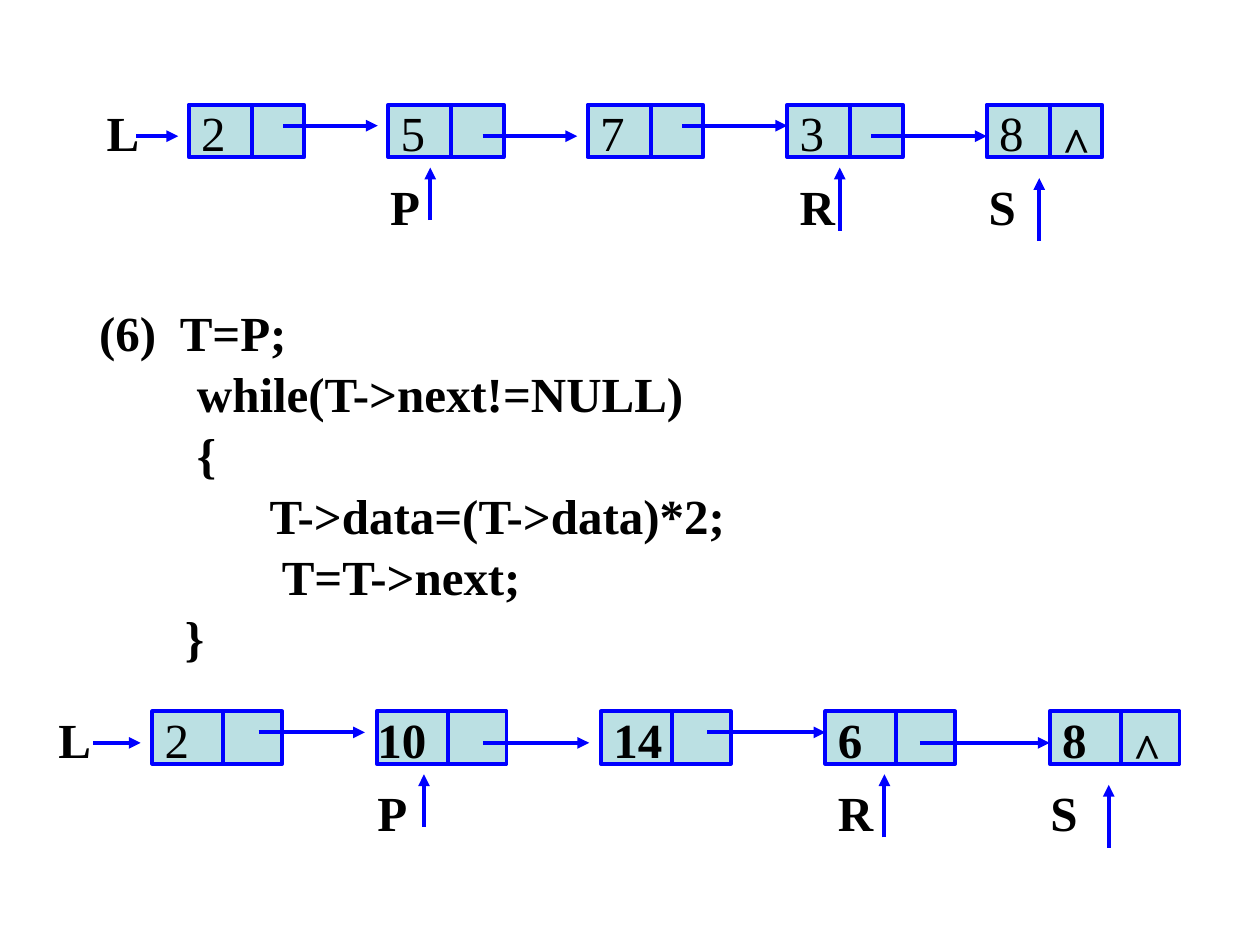
from lxml import etree
from pptx import Presentation
from pptx.dml.color import RGBColor
from pptx.enum.shapes import MSO_CONNECTOR, MSO_SHAPE
from pptx.enum.text import MSO_ANCHOR
from pptx.oxml.ns import qn
from pptx.util import Cm, Pt

STRAIGHT = MSO_CONNECTOR.STRAIGHT
RECTANGLE = MSO_SHAPE.RECTANGLE
TOP = MSO_ANCHOR.TOP

BLUE = "0000FF"
PALE_TEAL = "BBE0E3"
BLACK = "000000"
BLANK_LAYOUT = 6

FONT = {"name": "Times New Roman", "size": Pt(28)}
LINE_WIDTH = Pt(2.25)
LINE_SPACING = 1.04

COLUMNS, ROWS = 96, 14
FIRST_NODE, NODE_PITCH = 9, 19
NODE_WIDTH, NODE_HEIGHT, DATA_WIDTH = 11, 5, 6
TEXT_ROWS = 6.84
LINKS = [(18, 27, 3), (37, 46, 4), (56, 66, 3), (74, 85, 4)]
POINTERS = [("P", 27, 14, 32, 12, 7), ("R", 66, 10, 71, 13, 7), ("S", 84, 9, 90, 14, 8)]

BEFORE = [("2", 0, 6, False), ("5", 0, 6, False), ("7", 0, 6, False),
          ("3", 0, 6, False), ("8", 0, 6, False)]
AFTER = [("2", 0, 6, False), ("10", -1, 8, True), ("14", 0, 12, True),
         ("6", 0, 6, True), ("8", 0, 10, True)]

CODE = [
    "(6)  T=P;",
    "        while(T->next!=NULL)",
    "        {",
    "              T->data=(T->data)*2;",
    "               T=T->next;",
    "       }",
]


def color(value):
    return RGBColor.from_string(value)


def apply(target, values):
    for name, value in values.items():
        setattr(target, name, value)


def add_text(shapes, box, lines, bold=True, hanging=0):
    frame = shapes.add_textbox(*box).text_frame
    apply(frame, {"word_wrap": True, "vertical_anchor": TOP})
    for index, line in enumerate(lines):
        para = frame.add_paragraph() if index else frame.paragraphs[0]
        para.line_spacing = LINE_SPACING
        if hanging:
            properties = para._p.get_or_add_pPr()
            properties.set("marL", str(hanging))
            properties.set("indent", str(-hanging))
        span = para.add_run()
        span.text = line
        apply(span.font, {**FONT, "bold": bold})
        span.font.color.rgb = color(BLACK)


def add_line(shapes, start, end, arrow=False):
    connector = shapes.add_connector(STRAIGHT, *start, *end)
    connector.line.color.rgb = color(BLUE)
    connector.line.width = LINE_WIDTH
    if arrow:
        outline = connector.line._get_or_add_ln()
        etree.SubElement(outline, qn("a:tailEnd"), type="triangle")
    etree.SubElement(connector._element.spPr, qn("a:effectLst"))


def add_cell(shapes, box):
    cell = shapes.add_shape(RECTANGLE, *box)
    cell.shadow.inherit = False
    cell.fill.solid()
    cell.fill.fore_color.rgb = color(PALE_TEAL)
    cell.line.color.rgb = color(BLUE)
    cell.line.width = LINE_WIDTH


def add_linked_list(page, box, nodes):
    left, top, width, height = box
    shapes = page.shapes.add_group_shape().shapes

    def point(column, row):
        return round(left + column * width / COLUMNS), round(top + row * height / ROWS)

    def area(column, row, columns, rows):
        return (*point(column, row),
                round(columns * width / COLUMNS), round(rows * height / ROWS))

    def label(text, column, row, columns, bold=True):
        add_text(shapes, area(column, row, columns, TEXT_ROWS), [text], bold)

    label("L", 0, 0, 6)
    add_line(shapes, point(4, 4), point(8, 4), arrow=True)

    for index, (value, shift, columns, bold) in enumerate(nodes):
        column = FIRST_NODE + index * NODE_PITCH
        divider = column + DATA_WIDTH
        add_cell(shapes, area(column, 1, NODE_WIDTH, NODE_HEIGHT))
        add_line(shapes, point(divider, 1), point(divider, 1 + NODE_HEIGHT))
        label(value, column + shift, 0, columns, bold)
    label("^", divider, 1, NODE_WIDTH - DATA_WIDTH)

    for start, end, row in LINKS:
        add_line(shapes, point(start, row), point(end, row), arrow=True)
    for name, column, columns, arrow_column, start, end in POINTERS:
        label(name, column, 7, columns)
        add_line(shapes, point(arrow_column, start), point(arrow_column, end), arrow=True)


def add_code(page, box):
    add_text(page.shapes, box, CODE, hanging=Cm(1.27))


def main():
    deck = Presentation()
    apply(deck, {"slide_width": Cm(25.4), "slide_height": Cm(19.05)})
    page = deck.slides.add_slide(deck.slide_layouts[BLANK_LAYOUT])
    add_code(page, (Cm(1.75), Cm(5.92), Cm(22.23), Cm(7.37)))
    add_linked_list(page, (Cm(0.93), Cm(14.13), Cm(22.85), Cm(2.96)), AFTER)
    add_linked_list(page, (Cm(1.9), Cm(1.9), Cm(20.32), Cm(2.96)), BEFORE)
    deck.save("out.pptx")


if __name__ == "__main__":
    main()
